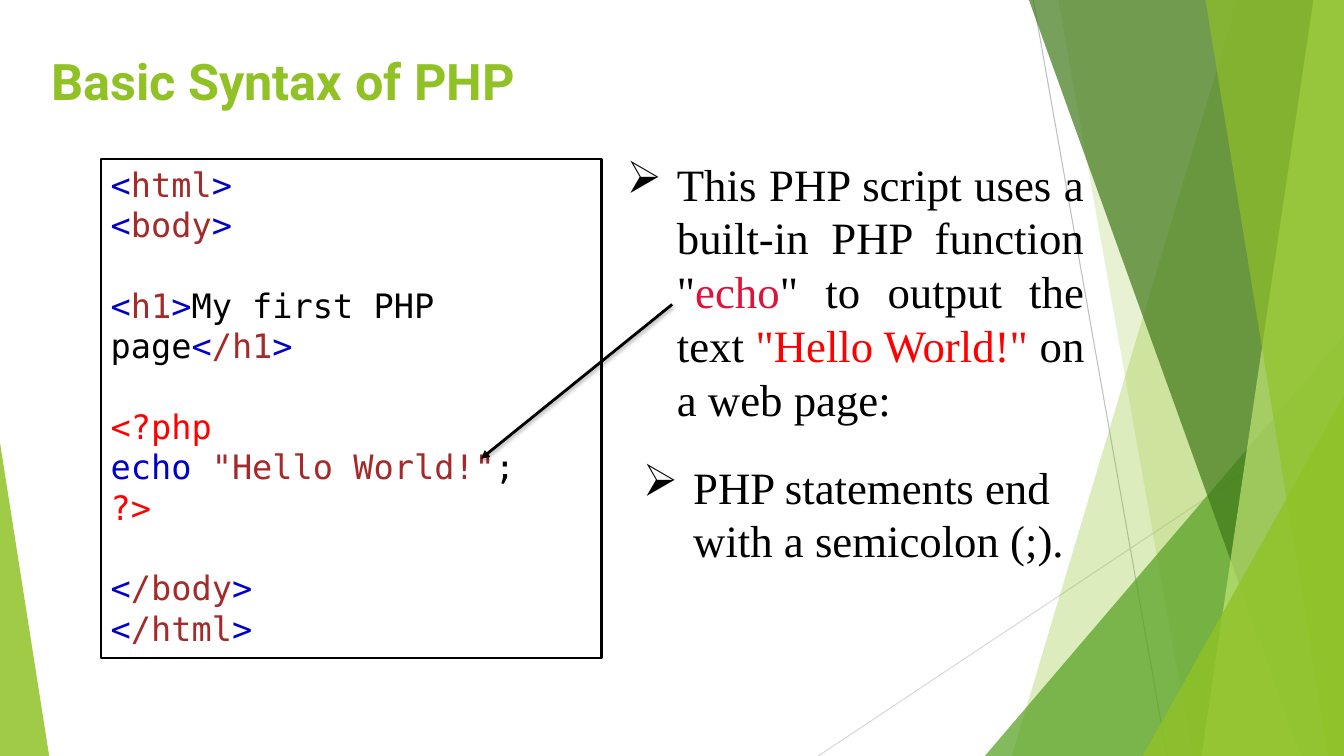
from dataclasses import dataclass

import pptx
import pptx.dml.color
import pptx.enum.shapes
import pptx.enum.text
import pptx.oxml
import pptx.oxml.ns
import pptx.util

Cm = pptx.util.Cm
Pt = pptx.util.Pt
RGBColor = pptx.dml.color.RGBColor
MSO_SHAPE = pptx.enum.shapes.MSO_SHAPE
PP_ALIGN = pptx.enum.text.PP_ALIGN
MSO_ANCHOR = pptx.enum.text.MSO_ANCHOR

WIDTH, HEIGHT = 33.87, 19.05
WHITE = RGBColor(0xFF, 0xFF, 0xFF)
BLACK = RGBColor(0, 0, 0)
LIME = RGBColor(0x90, 0xC2, 0x26)
GREEN = RGBColor(0x54, 0xA0, 0x21)
FOREST = RGBColor(0x3F, 0x78, 0x19)
PALE_LIME = RGBColor(0xC0, 0xE4, 0x74)
GREY = RGBColor(0xBF, 0xBF, 0xBF)
LIGHT_GREY = RGBColor(0xD9, 0xD9, 0xD9)
BLUE = RGBColor(0, 0, 0xCD)
BROWN = RGBColor(0xA5, 0x2A, 0x2A)
RED = RGBColor(0xFF, 0, 0)
CRIMSON = RGBColor(0xDC, 0x14, 0x3C)

Run = tuple[str, RGBColor]
NO_EFFECT = ""
SOFT_SHADOW = (
    '<a:outerShdw blurRad="38100" dist="25400" dir="5400000" rotWithShape="0">'
    '<a:srgbClr val="000000"><a:alpha val="35000"/></a:srgbClr></a:outerShdw>'
)


@dataclass
class Line:
    x1: float
    y1: float
    x2: float
    y2: float
    color: RGBColor
    width: float = 0.75
    effect: str = NO_EFFECT
    arrow: bool = False


@dataclass
class Band:
    """A slanted edge from slide top to bottom, filled to the right side."""
    top_x: float
    bottom_x: float
    color: RGBColor
    opacity: int


@dataclass
class Triangle:
    left: float
    top: float
    width: float
    apex: float
    color: RGBColor
    opacity: int


@dataclass
class TextBox:
    left: float
    top: float
    width: float
    height: float
    lines: list[list[Run]]
    font: dict
    align: PP_ALIGN = PP_ALIGN.LEFT
    anchor: MSO_ANCHOR = MSO_ANCHOR.TOP
    bullet: str = ""
    framed: bool = False


DECOR = [
    Line(26.04, 0, 29.41, HEIGHT, GREY),
    Line(WIDTH, 10.24, 20.62, HEIGHT, LIGHT_GREY),
    Band(31.19, 25.5, LIME, 30),
    Band(26.67, 30.05, LIME, 20),
    Triangle(24.82, 8.46, 9.05, 1, GREEN, 72),
    Band(25.93, 32.79, FOREST, 70),
    Band(33.1, 30.28, PALE_LIME, 70),
    Band(30.38, 33.48, LIME, 65),
    Triangle(28.8, 9.98, 5.07, 1, LIME, 80),
    Triangle(0, 11.15, 1.24, 0, LIME, 85),
]


def tag(name: str) -> list[Run]:
    return [("<", BLUE), (name, BROWN), (">", BLUE)]


CODE = [
    tag("html"),
    tag("body"),
    [],
    tag("h1") + [("My first PHP page", BLACK)] + tag("/h1"),
    [],
    [("<?php", RED)],
    [("echo ", BLUE), ('"Hello World!"', BROWN), (";", BLACK)],
    [("?>", RED)],
    [],
    tag("/body"),
    tag("/html"),
]
ECHO_NOTE = [
    ('This PHP script uses a built-in PHP function "', BLACK),
    ("echo", CRIMSON),
    ('" to output the text ', BLACK),
    ('"Hello World!" ', RED),
    ("on a web page:", BLACK),
]
TITLE_FONT = {"name": "Roboto", "size": Pt(36), "bold": True}
CODE_FONT = {"name": "DejaVu Sans Mono", "size": Pt(24)}
NOTE_FONT = {"name": "Times New Roman", "size": Pt(32)}

CONTENT = [
    TextBox(1.04, 1.14, 23.88, 3.66, [[("Basic Syntax of PHP", LIME)]], TITLE_FONT),
    TextBox(2.54, 4.01, 12.62, 12.57, CODE, CODE_FONT, framed=True),
    TextBox(15.54, 3.78, 12.04, 7.09, [ECHO_NOTE], NOTE_FONT,
            PP_ALIGN.JUSTIFY, MSO_ANCHOR.MIDDLE, "➢"),
    Line(16.94, 7.67, 12.12, 11.56, BLACK, 2, SOFT_SHADOW, arrow=True),
    TextBox(15.95, 11.43, 12.62, 3, [[("PHP statements end with a semicolon (;).", BLACK)]],
            NOTE_FONT, anchor=MSO_ANCHOR.MIDDLE, bullet="➢"),
]


def add_xml(parent, name: str, inner: str = "", **attrs: str) -> None:
    ns = pptx.oxml.ns.nsdecls("a")
    text = " ".join(f'{key}="{value}"' for key, value in attrs.items())
    parent.append(pptx.oxml.parse_xml(f"<a:{name} {ns} {text}>{inner}</a:{name}>"))


def draw_line(shapes, line: Line) -> None:
    ends = [Cm(v) for v in (line.x1, line.y1, line.x2, line.y2)]
    sp = shapes.add_connector(pptx.enum.shapes.MSO_CONNECTOR.STRAIGHT, *ends)
    sp.line.color.rgb = line.color
    sp.line.width = Pt(line.width)
    if line.arrow:
        add_xml(sp.line._get_or_add_ln(), "tailEnd", type="triangle")
    add_xml(sp._element.spPr, "effectLst", line.effect)


def fill_translucent(sp, color: RGBColor, opacity: int) -> None:
    sp.shadow.inherit = False
    sp.line.fill.background()
    sp.fill.solid()
    sp.fill.fore_color.rgb = color
    srgb = sp._element.spPr.find(".//" + pptx.oxml.ns.qn("a:srgbClr"))
    add_xml(srgb, "alpha", val=str(opacity * 1000))


def draw_band(shapes, band: Band) -> None:
    builder = shapes.build_freeform(Cm(band.top_x), 0)
    corners = [(WIDTH, 0), (WIDTH, HEIGHT), (band.bottom_x, HEIGHT)]
    builder.add_line_segments([(Cm(x), Cm(y)) for x, y in corners])
    fill_translucent(builder.convert_to_shape(), band.color, band.opacity)


def draw_triangle(shapes, tri: Triangle) -> None:
    sp = shapes.add_shape(MSO_SHAPE.ISOSCELES_TRIANGLE, Cm(tri.left), Cm(tri.top),
                          Cm(tri.width), Cm(HEIGHT - tri.top))
    sp.adjustments[0] = tri.apex
    fill_translucent(sp, tri.color, tri.opacity)


def draw_text(shapes, box: TextBox) -> None:
    area = [Cm(v) for v in (box.left, box.top, box.width, box.height)]
    if box.framed:
        sp = shapes.add_shape(MSO_SHAPE.RECTANGLE, *area)
        sp.shadow.inherit = False
        sp.fill.solid()
        sp.fill.fore_color.rgb = WHITE
        sp.line.color.rgb = BLACK
        sp.line.width = Pt(1.5)
    else:
        sp = shapes.add_textbox(*area)
    tf = sp.text_frame
    tf.word_wrap = True
    tf.vertical_anchor = box.anchor
    p = tf.paragraphs[0]
    p.alignment = box.align
    if box.bullet:
        pPr = p._p.get_or_add_pPr()
        pPr.set("marL", str(Cm(1.27)))
        pPr.set("indent", str(-Cm(1.27)))
        add_xml(pPr, "buChar", char=box.bullet)
    for key, value in box.font.items():
        setattr(p.font, key, value)
    for i, line in enumerate(box.lines):
        if i:
            p.add_line_break()
            br = p._p.findall(pptx.oxml.ns.qn("a:br"))[-1]
            add_xml(br, "rPr", sz=str(int(box.font["size"].pt * 100)))
        for text, color in line:
            r = p.add_run()
            r.text = text
            for key, value in box.font.items():
                setattr(r.font, key, value)
            r.font.color.rgb = color


DRAW = {Line: draw_line, Band: draw_band, Triangle: draw_triangle, TextBox: draw_text}


def main() -> None:
    prs = pptx.Presentation()
    prs.slide_width, prs.slide_height = Cm(WIDTH), Cm(HEIGHT)
    s = prs.slides.add_slide(prs.slide_layouts[6])
    for item in DECOR + CONTENT:
        DRAW[type(item)](s.shapes, item)
    prs.save("out.pptx")


if __name__ == "__main__":
    main()
